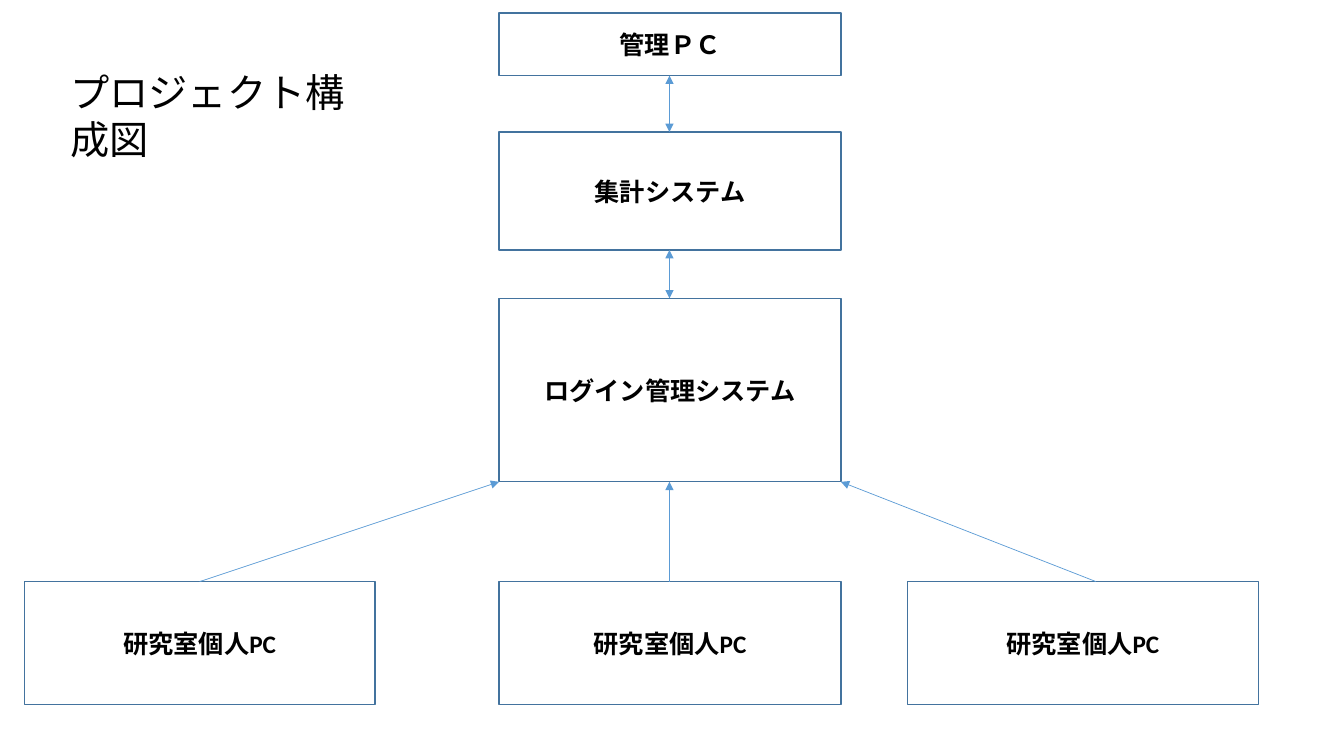
"""Build the project structure slide."""
from dataclasses import dataclass

from pptx import Presentation, util as u
from pptx.dml import color as col
from pptx.enum import lang, shapes, text
from pptx.oxml import ns, xmlchemy as xml

EDGE, LINK, INK = "43739E", "5B9BD5", "000000"
MID, WIDE, SIDE = 4.95, 3.39, 3.48
ROW, TALL = 5.77, 1.22
BASE = 4.78
AXIS = 6.64
FONT = {"name": "Calibri", "language_id": lang.MSO_LANGUAGE_ID.JAPANESE}


@dataclass
class Box:
    label: str
    left: float
    top: float
    width: float
    height: float


@dataclass
class Arrow:
    start: tuple[float, float]
    end: tuple[float, float]
    both: bool = False


BOXES = [
    Box("管理ＰＣ", MID, 0.13, WIDE, 0.62),
    Box("集計システム", MID, 1.31, WIDE, 1.17),
    Box("ログイン管理システム", MID, 2.96, WIDE, 1.82),
] + [
    Box("研究室個人PC", left, ROW, width, TALL)
    for left, width in ((0.24, SIDE), (MID, WIDE), (9, SIDE))
]

ARROWS = [
    Arrow((AXIS, 0.75), (AXIS, 1.31), both=True),
    Arrow((AXIS, 2.48), (AXIS, 2.96), both=True),
] + [
    Arrow((low, ROW), (high, BASE))
    for low, high in ((1.98, MID), (AXIS, AXIS), (10.87, MID + WIDE))
]


def paint(hue: str) -> col.RGBColor:
    return col.RGBColor.from_string(hue)


def style(item, values: dict) -> None:
    for name, value in values.items():
        setattr(item, name, value)


def write(shape, label: str, size: int, bold: bool) -> None:
    run = shape.text_frame.paragraphs[0].add_run()
    run.text = label
    style(run.font, FONT | {"size": u.Pt(size), "bold": bold})
    run.font.color.rgb = paint(INK)


def draw_box(slide, box: Box) -> None:
    area = map(u.Inches, (box.left, box.top, box.width, box.height))
    shape = slide.shapes.add_shape(shapes.MSO_SHAPE.RECTANGLE, *area)
    shape.shadow.inherit = False
    shape.fill.background()
    shape.line.color.rgb = paint(EDGE)
    shape.line.width = u.Pt(1)
    style(shape.text_frame, {"word_wrap": True,
                             "vertical_anchor": text.MSO_ANCHOR.MIDDLE})
    shape.text_frame.paragraphs[0].alignment = text.PP_ALIGN.CENTER
    write(shape, box.label, 18, True)


def draw_arrow(slide, arrow: Arrow) -> None:
    ends = map(u.Inches, arrow.start + arrow.end)
    link = slide.shapes.add_connector(shapes.MSO_CONNECTOR.STRAIGHT, *ends)
    link.line.color.rgb = paint(LINK)
    link.line.width = u.Pt(0.5)
    line = link.line._get_or_add_ln()
    for tag in ("a:headEnd", "a:tailEnd") if arrow.both else ("a:tailEnd",):
        tip = xml.OxmlElement(tag)
        tip.set("type", "triangle")
        line.append(tip)
    line.getparent().append(xml.OxmlElement("a:effectLst"))


def draw_title(slide) -> None:
    area = map(u.Inches, (0.6, 0.63, 3.28, 0.57))
    title = slide.shapes.add_textbox(*area)
    style(title.text_frame, {"word_wrap": True,
                             "auto_size": text.MSO_AUTO_SIZE.SHAPE_TO_FIT_TEXT})
    write(title, "プロジェクト構成図", 28, False)


def main() -> None:
    deck = Presentation()
    style(deck, {"slide_width": u.Inches(13.33), "slide_height": u.Inches(7.5)})
    slide = deck.slides.add_slide(deck.slide_layouts[6])
    for box in BOXES:
        draw_box(slide, box)
    for arrow in ARROWS:
        draw_arrow(slide, arrow)
    draw_title(slide)
    deck.save("out.pptx")


if __name__ == "__main__":
    main()
